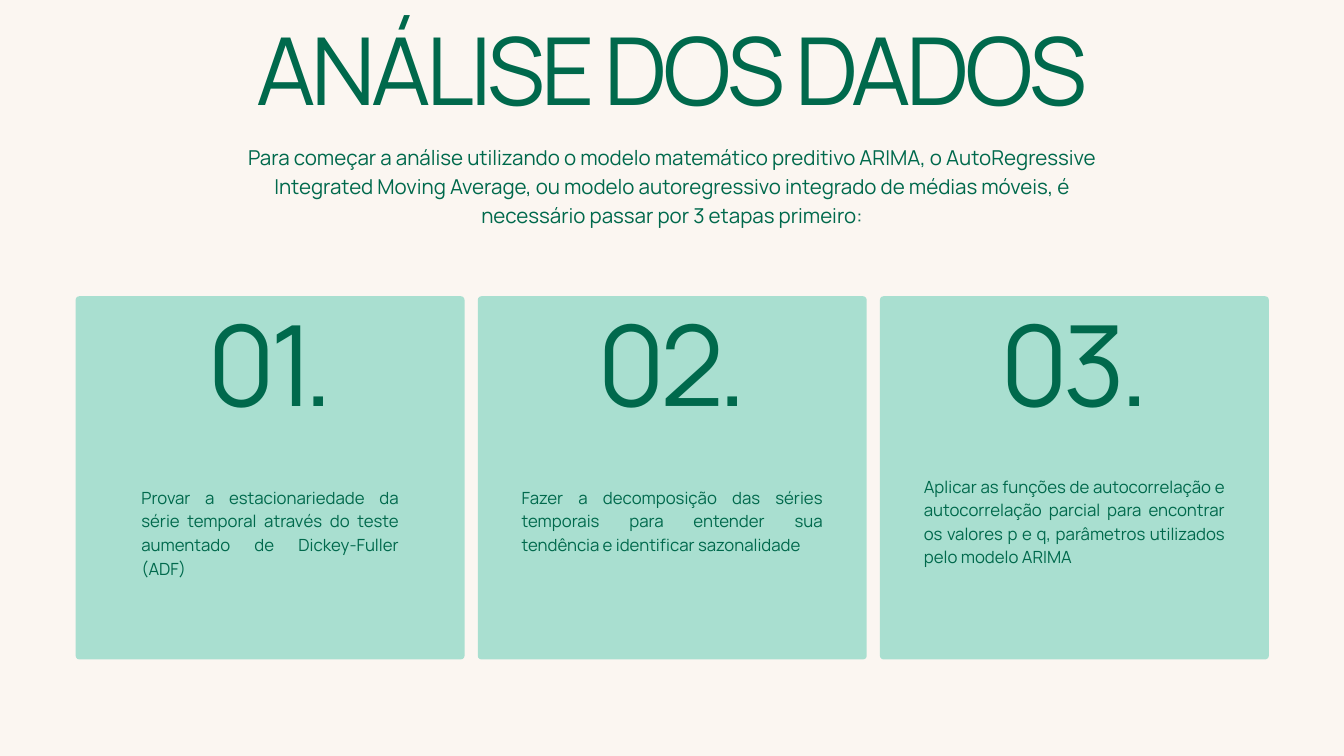
from pptx import Presentation
from pptx import util as u
from pptx.dml.color import RGBColor
from pptx.enum import shapes, text

CARD_LEFT, CARD_TOP = 2.86, 11.2
CARD_WIDTH, CARD_HEIGHT = 14.7, 13.73
CARD_PITCH = 15.2
NUMBER_WIDTH = 6.73

# Wording, top, width and height of each step's text
STEPS = [
    ("Provar a estacionariedade da série temporal através do teste "
     "aumentado de Dickey-Fuller (ADF)", 18.31, 9.73, 3.5),
    ("Fazer a decomposição das séries temporais para entender sua "
     "tendência e identificar sazonalidade", 18.31, 11.38, 2.62),
    ("Aplicar as funções de autocorrelação e autocorrelação parcial para "
     "encontrar os valores p e q, parâmetros utilizados pelo modelo ARIMA",
     17.88, 11.38, 4.37),
]


def color(value):
    return RGBColor.from_string(value)


class SlideBuilder:
    font = "Manrope"
    ink = "00694C"
    card_fill = "A9DFD0"
    background = "FBF6F1"

    def __init__(self, deck):
        self.slide = deck.slides.add_slide(deck.slide_layouts[5])
        fill = self.slide.background.fill
        fill.solid()
        fill.fore_color.rgb = color(self.background)

    def set_text(self, box, words, size, line, align, tracking=0):
        """Fill a box with one paragraph; size, line and tracking are points."""
        frame = box.text_frame
        frame.text = words
        frame.word_wrap = True
        frame.auto_size = text.MSO_AUTO_SIZE.NONE
        frame.vertical_anchor = text.MSO_ANCHOR.TOP
        frame.margin_left = frame.margin_right = 0
        frame.margin_top = frame.margin_bottom = 0
        para = frame.paragraphs[0]
        para.alignment = align
        para.line_spacing = u.Pt(line)
        span = para.runs[0]
        span.font.name = self.font
        span.font.size = u.Pt(size)
        span.font.color.rgb = color(self.ink)
        if tracking:
            span._r.get_or_add_rPr().set("spc", str(round(tracking * 100)))

    def title(self, words, left, top, width, height):
        box = self.slide.shapes.title
        box.left, box.top = u.Cm(left), u.Cm(top)
        box.width, box.height = u.Cm(width), u.Cm(height)
        self.set_text(box, words, 100.4, 90.4, text.PP_ALIGN.CENTER, -4.6)

    def label(self, words, left, top, width, height, size, line,
              align=text.PP_ALIGN.CENTER, tracking=0):
        box = self.slide.shapes.add_textbox(
            u.Cm(left), u.Cm(top), u.Cm(width), u.Cm(height))
        self.set_text(box, words, size, line, align, tracking)

    def card(self, left):
        card = self.slide.shapes.add_shape(
            shapes.MSO_SHAPE.ROUNDED_RECTANGLE, u.Cm(left), u.Cm(CARD_TOP),
            u.Cm(CARD_WIDTH), u.Cm(CARD_HEIGHT))
        card.adjustments[0] = 0.01
        card.shadow.inherit = False
        card.fill.solid()
        card.fill.fore_color.rgb = color(self.card_fill)
        card.line.fill.background()


def main():
    deck = Presentation()
    deck.slide_width, deck.slide_height = u.Cm(50.8), u.Cm(28.58)
    page = SlideBuilder(deck)
    page.title("ANÁLISE DOS DADOS", 6.15, 1.5, 38.48, 3.48)
    page.label(
        "Para começar a análise utilizando o modelo matemático preditivo "
        "ARIMA, o AutoRegressive Integrated Moving Average, ou modelo "
        "autoregressivo integrado de médias móveis, é necessário passar por "
        "3 etapas primeiro:", 8.84, 5.33, 33.12, 3.23, 22, 30.8)
    for index, (words, top, width, height) in enumerate(STEPS):
        left = CARD_LEFT + index * CARD_PITCH
        center = left + CARD_WIDTH / 2
        page.card(left)
        page.label(f"{index + 1:02}.", center - NUMBER_WIDTH / 2, 12.42,
                   NUMBER_WIDTH, 4.17, 120, 108, tracking=-5.5)
        page.label(words, center - width / 2, top, width, height, 18, 25.2,
                   text.PP_ALIGN.JUSTIFY)
    deck.save("out.pptx")


if __name__ == "__main__":
    main()
